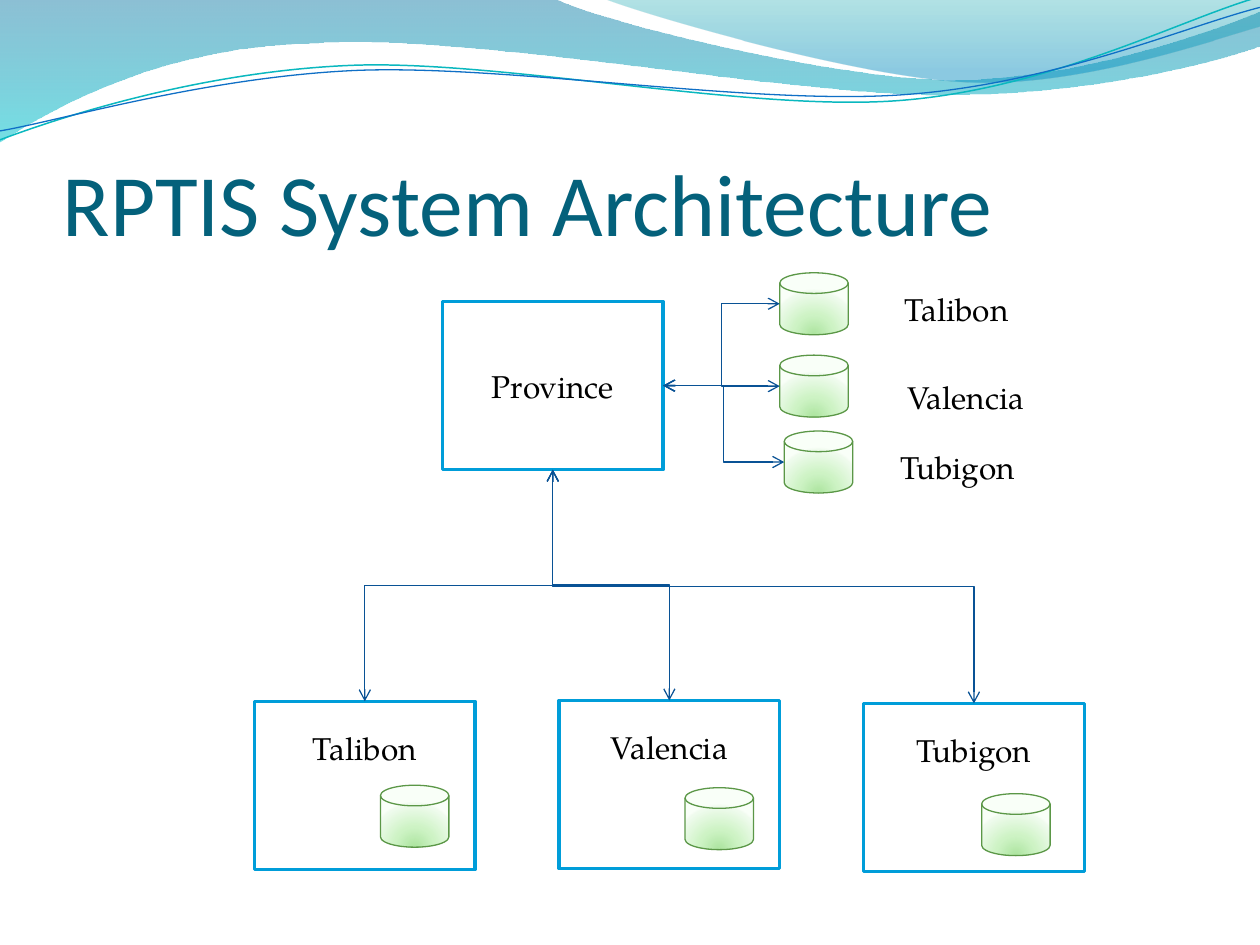
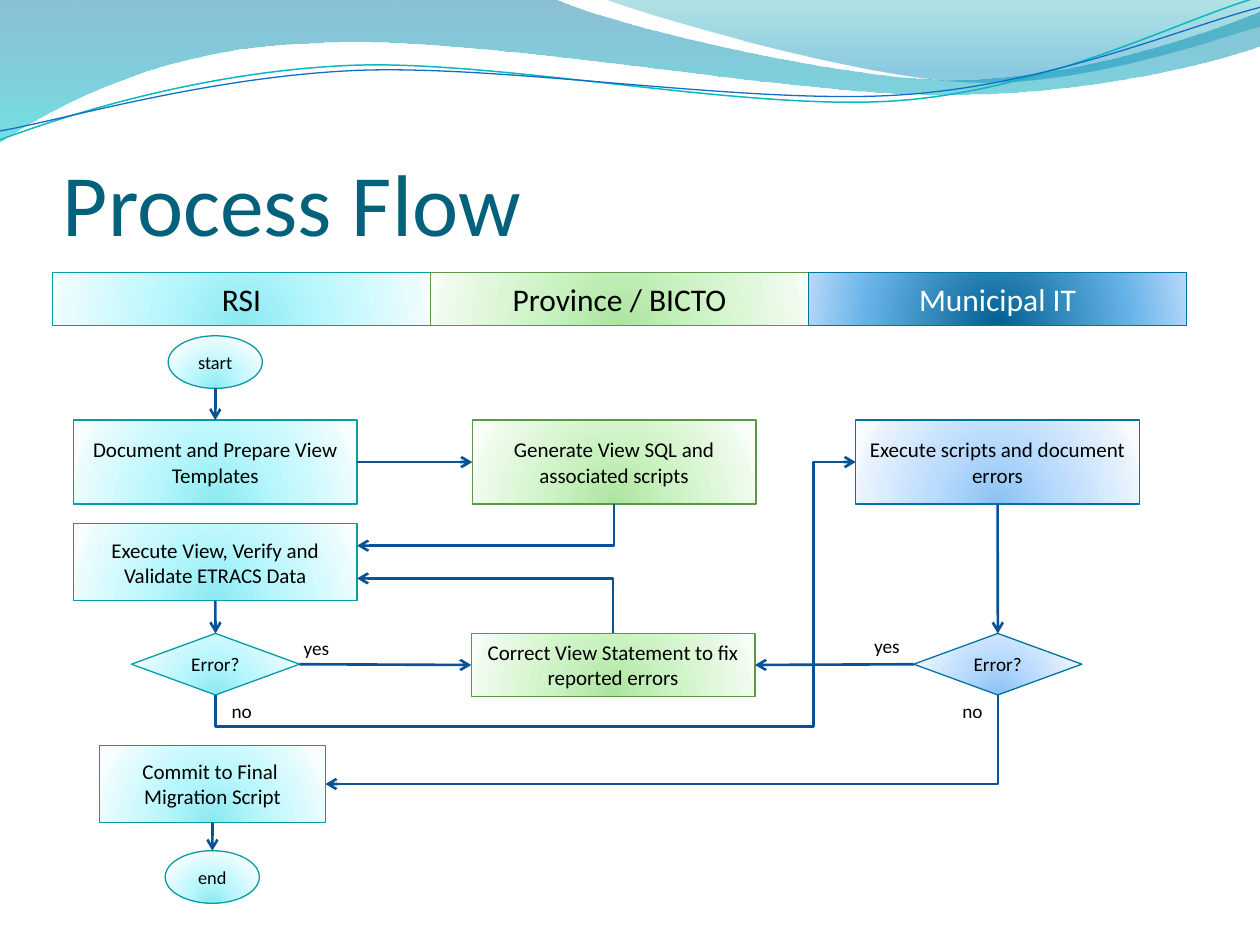
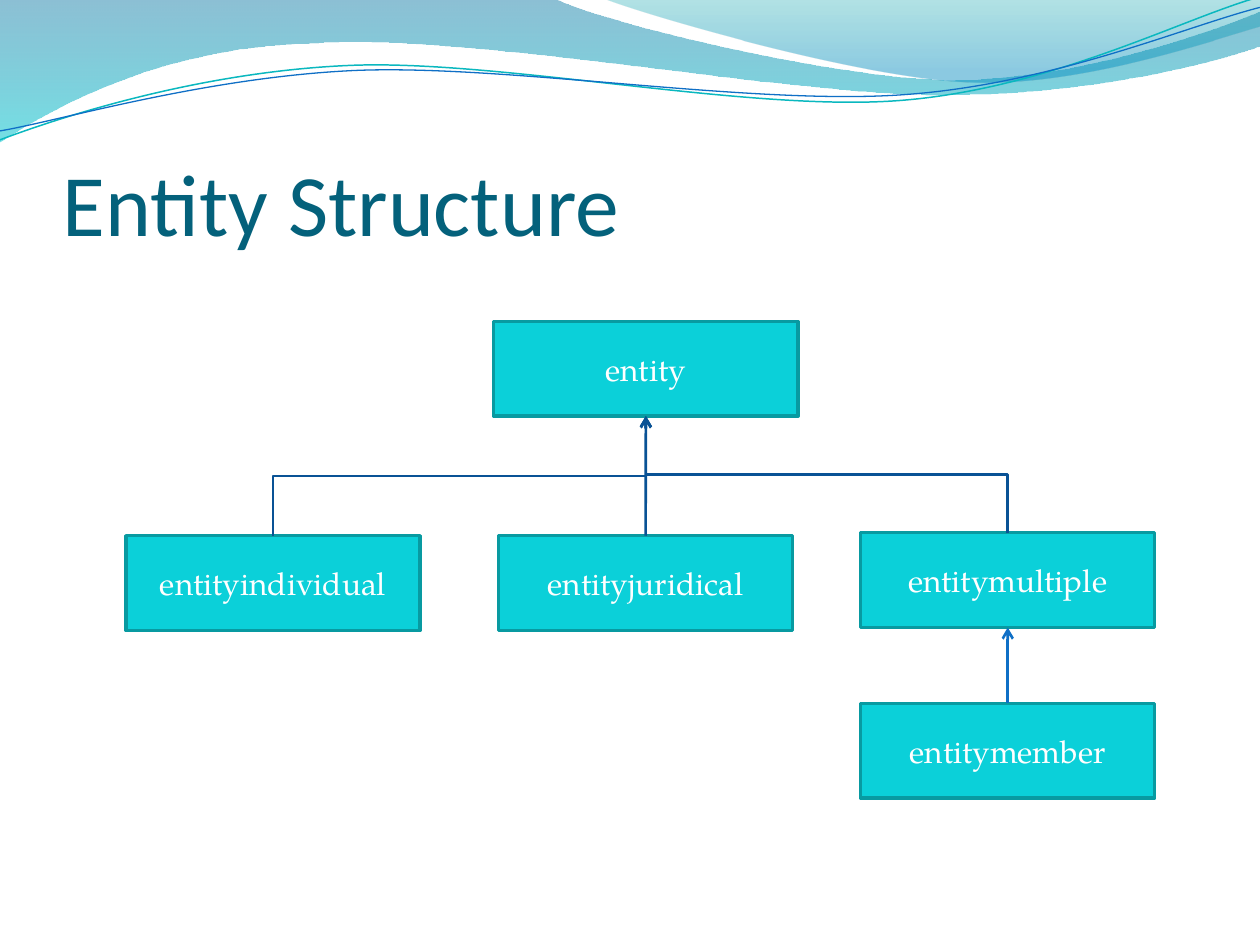
"""Three slides on a tax information system: architecture, process, entities."""
from dataclasses import dataclass
from enum import IntEnum
from typing import Optional

import pptx
import pptx.util
from lxml import etree
from pptx.dml.color import RGBColor
from pptx.enum.shapes import MSO_CONNECTOR, MSO_SHAPE
from pptx.enum.text import MSO_ANCHOR, PP_ALIGN
from pptx.oxml.ns import qn
from pptx.util import Cm, Pt

# Colours and fonts
BLACK = RGBColor(0x00, 0x00, 0x00)
WHITE = RGBColor(0xFF, 0xFF, 0xFF)
TITLE_BLUE = RGBColor(0x04, 0x61, 0x7B)
SITE_BLUE = RGBColor(0x00, 0x9D, 0xD9)
LINK_BLUE = RGBColor(0x09, 0x52, 0x95)
MEMBER_BLUE = RGBColor(0x0F, 0x6F, 0xC6)
ENTITY_FILL = RGBColor(0x0B, 0xD0, 0xD9)
ENTITY_EDGE = RGBColor(0x08, 0x9A, 0xA1)
WAVE_TEAL = RGBColor(0x0A, 0xB8, 0xBF)
SANS = "Calibri"
SERIF = "TeX Gyre Pagella"


@dataclass(frozen=True)
class Stop:
    position: int
    color: RGBColor
    alpha: int = 100


@dataclass(frozen=True)
class Tone:
    """Glowing fill of a shape with its outline and text colour."""
    edge: RGBColor
    stops: tuple[Stop, ...]
    ink: RGBColor = BLACK


def soft_stops(*colors: str) -> tuple[Stop, ...]:
    return tuple(Stop(at, RGBColor.from_string(color))
                 for at, color in zip((0, 43, 93, 100), colors))


CYAN = Tone(RGBColor(0x06, 0x9C, 0xA3), soft_stops("8BE9F1", "B9F7FD", "EAFCFE", "F8FEFF"))
GREEN = Tone(RGBColor(0x5B, 0x97, 0x47), soft_stops("ACE49F", "CDF3C4", "EFFBED", "F9FFF8"))
BLUE = Tone(RGBColor(0x00, 0x74, 0xA1), soft_stops("8BC2F1", "B9DBFD", "EAF3FE", "F8FBFF"))
DEEP_BLUE = Tone(BLUE.edge, (Stop(0, RGBColor(0x00, 0x60, 0x91)),
                             Stop(68, RGBColor(0x64, 0xB1, 0xE7)),
                             Stop(100, RGBColor(0xB1, 0xD6, 0xF9))), WHITE)

Point = tuple[float, float]


@dataclass(frozen=True)
class Box:
    """Place and size in centimetres."""
    left: float
    top: float
    width: float
    height: float

    def lengths(self) -> tuple[Cm, Cm, Cm, Cm]:
        return Cm(self.left), Cm(self.top), Cm(self.width), Cm(self.height)


@dataclass(frozen=True)
class Style:
    font: str
    size: float
    color: RGBColor = BLACK


@dataclass(frozen=True)
class Wave:
    """Outline in cm; a step is one point (line) or three (Bezier curve)."""
    start: Point
    steps: tuple[tuple[Point, ...], ...]
    stops: tuple[Stop, ...] = ()
    color: Optional[RGBColor] = None
    weight: float = 0


WAVES = (
    Wave((0, 0), (
        ((11.18, -0.03),),
        ((12.09, 0.43), (16.87, 1.6), (19.25, 1.6)),
        ((21.67, 1.6), (24.33, 0.66), (25.4, 0.23)),
        ((25.43, 0.91),),
        ((24.97, 1.12), (22.1, 1.93), (18.95, 1.91)),
        ((15.8, 1.91), (9.7, 0.71), (6.53, 0.86)),
        ((3.28, 0.91), (1.17, 2.11), (-0.03, 2.87)),
        ((0, 0),)),
        stops=(Stop(0, RGBColor(0x00, 0x74, 0xA1), 45), Stop(100, RGBColor(0x00, 0xC6, 0xCF), 55))),
    Wave((12.17, -0.03), (
        ((12.93, 0.28), (17.32, 1.57), (19.53, 1.65)),
        ((21.74, 1.75), (24.41, 0.81), (25.4, 0.53)),
        ((25.4, 0),),
        ((12.17, -0.03),)),
        stops=(Stop(0, RGBColor(0x00, 0xA1, 0xA9), 30), Stop(80, RGBColor(0x00, 0x8B, 0xBF), 45))),
    Wave((0, 2.82), (
        ((1.22, 2.36), (4.01, 1.45), (7.04, 1.32)),
        ((10.03, 1.19), (15.06, 2.26), (18.11, 2.03)),
        ((21.16, 1.8), (23.83, 0.38), (25.35, -0.05))),
        color=WAVE_TEAL, weight=0.85),
    Wave((0, 2.64), (
        ((1.19, 2.44), (4.17, 1.55), (7.19, 1.42)),
        ((10.24, 1.3), (15.16, 2.13), (18.21, 1.91)),
        ((21.23, 1.7), (23.9, 0.53), (25.4, 0.15))),
        color=MEMBER_BLUE, weight=0.75),
)


# Fills, text and shapes
def fill_gradient(shape, stops: tuple[Stop, ...], radial: bool) -> None:
    shape.fill.background()
    properties = shape.element.spPr
    gradient = etree.Element(qn("a:gradFill"), rotWithShape="1")
    stop_list = etree.SubElement(gradient, qn("a:gsLst"))
    for stop in stops:
        entry = etree.SubElement(stop_list, qn("a:gs"), pos=str(stop.position * 1000))
        color = etree.SubElement(entry, qn("a:srgbClr"), val=str(stop.color))
        if stop.alpha < 100:
            etree.SubElement(color, qn("a:alpha"), val=str(stop.alpha * 1000))
    if radial:
        center = etree.SubElement(gradient, qn("a:path"), {"path": "circle"})
        etree.SubElement(center, qn("a:fillToRect"), l="50000", t="130000", r="50000", b="-30000")
    else:
        etree.SubElement(gradient, qn("a:lin"), ang="5400000", scaled="0")
    properties.replace(properties.find(qn("a:noFill")), gradient)


def write(shape, lines: tuple[str, ...], style: Style, align=PP_ALIGN.CENTER,
          anchor=MSO_ANCHOR.MIDDLE, wrap: bool = True) -> None:
    frame = shape.text_frame
    frame.word_wrap = wrap
    frame.vertical_anchor = anchor
    for number, line in enumerate(lines):
        para = frame.add_paragraph() if number else frame.paragraphs[0]
        para.alignment = align
        span = para.add_run()
        span.text = line
        span.font.name = style.font
        span.font.size = Pt(style.size)
        span.font.color.rgb = style.color


def add_label(page, text: str, box: Box, style: Style, wrap: bool = True):
    label = page.shapes.add_textbox(*box.lengths())
    write(label, (text,), style, PP_ALIGN.LEFT, MSO_ANCHOR.TOP, wrap)
    return label


def add_plain_box(page, text: str, box: Box, fill: RGBColor, edge: RGBColor, ink: RGBColor):
    shape = page.shapes.add_shape(MSO_SHAPE.RECTANGLE, *box.lengths())
    shape.shadow.inherit = False
    shape.fill.solid()
    shape.fill.fore_color.rgb = fill
    shape.line.color.rgb = edge
    shape.line.width = Pt(2)
    write(shape, (text,), Style(SERIF, 18, ink))
    return shape


def add_glow_shape(page, kind, box: Box, tone: Tone, lines: tuple[str, ...] = (), size: float = 12):
    shape = page.shapes.add_shape(kind, *box.lengths())
    shape.shadow.inherit = False
    fill_gradient(shape, tone.stops, radial=True)
    shape.line.color.rgb = tone.edge
    shape.line.width = Pt(0.75)
    write(shape, lines, Style(SANS, size, tone.ink))
    return shape


# Connectors
class Side(IntEnum):
    TOP = 0
    LEFT = 1
    BOTTOM = 2
    RIGHT = 3


SITES = {MSO_SHAPE.OVAL: (0, 2, 4, 6), MSO_SHAPE.FLOWCHART_MAGNETIC_DISK: (1, 2, 3, 4)}


@dataclass(frozen=True)
class Anchor:
    x: int
    y: int
    shape_id: Optional[int] = None
    site: int = 0


def at_side(shape, side: Side) -> Anchor:
    x = shape.left + shape.width * {Side.LEFT: 0, Side.RIGHT: 1}.get(side, 0.5)
    y = shape.top + shape.height * {Side.TOP: 0, Side.BOTTOM: 1}.get(side, 0.5)
    site = SITES.get(shape.auto_shape_type, (0, 1, 2, 3))[side]
    return Anchor(int(x), int(y), shape.shape_id, site)


def link(page, start: Anchor, end: Anchor, bends: int = 0, upright: bool = False,
         adjust: tuple[float, ...] = (), weight: float = 1.5,
         color: RGBColor = LINK_BLUE, both: bool = False) -> None:
    """Join two anchors; an upright link leaves its start vertically."""
    begin_x, begin_y, end_x, end_y = start.x, start.y, end.x, end.y
    if upright:  # laid out sideways, then turned a quarter
        center_x, center_y = (start.x + end.x) // 2, (start.y + end.y) // 2
        half_x, half_y = (end.y - start.y) // 2, (start.x - end.x) // 2
        begin_x, end_x = center_x - half_x, center_x + half_x
        begin_y, end_y = center_y - half_y, center_y + half_y
    kind = MSO_CONNECTOR.ELBOW if bends else MSO_CONNECTOR.STRAIGHT
    connector = page.shapes.add_connector(kind, begin_x, begin_y, end_x, end_y)
    connector.line.color.rgb = color
    connector.line.width = Pt(weight)
    properties = connector.element.spPr
    if upright:
        properties.find(qn("a:xfrm")).set("rot", "5400000")
    if bends:
        geometry = properties.find(qn("a:prstGeom"))
        geometry.set("prst", f"bentConnector{bends + 1}")
        for number, value in enumerate(adjust, 1):
            etree.SubElement(geometry.find(qn("a:avLst")), qn("a:gd"),
                             name=f"adj{number}", fmla=f"val {round(value * 100000)}")
    outline = properties.find(qn("a:ln"))
    for tag in ("a:headEnd", "a:tailEnd") if both else ("a:tailEnd",):
        etree.SubElement(outline, qn(tag), type="arrow")
    etree.SubElement(properties, qn("a:effectLst"))
    glue = connector.element.nvCxnSpPr.cNvCxnSpPr
    for tag, anchor in (("a:stCxn", start), ("a:endCxn", end)):
        if anchor.shape_id is not None:
            etree.SubElement(glue, qn(tag), id=str(anchor.shape_id), idx=str(anchor.site))


# Shared page: wave band and title
def bend_curves(shape, steps: tuple[tuple[Point, ...], ...]) -> None:
    """Merge each run of three line segments that forms one Bezier curve."""
    segments = iter(shape.element.spPr.findall(".//" + qn("a:lnTo")))
    for step in steps:
        curve = next(segments)
        if len(step) == 3:
            curve.tag = qn("a:cubicBezTo")
            for _ in range(2):
                segment = next(segments)
                curve.append(segment[0])
                segment.getparent().remove(segment)


def add_wave(page, wave: Wave) -> None:
    places = [(Cm(x), Cm(y)) for step in wave.steps for x, y in step]
    builder = page.shapes.build_freeform(Cm(wave.start[0]), Cm(wave.start[1]))
    builder.add_line_segments(places, close=bool(wave.stops))
    shape = builder.convert_to_shape()
    bend_curves(shape, wave.steps)
    shape.shadow.inherit = False
    if wave.stops:
        fill_gradient(shape, wave.stops, radial=False)
        shape.line.fill.background()
    else:
        shape.fill.background()
        shape.line.color.rgb = wave.color
        shape.line.width = Pt(wave.weight)


def add_page(deck, title: str):
    page = deck.slides.add_slide(deck.slide_layouts[6])
    for wave in WAVES:
        add_wave(page, wave)
    box = page.shapes.add_textbox(*Box(1.27, 1.95, 22.86, 3.18).lengths())
    frame = box.text_frame
    frame.margin_left = frame.margin_right = frame.margin_bottom = 0
    write(box, (title,), Style(SANS, 50, TITLE_BLUE), PP_ALIGN.LEFT, MSO_ANCHOR.BOTTOM)
    return page


# Slide 1: architecture
@dataclass(frozen=True)
class Town:
    name: str
    office: Point
    local_disk: Point
    central_disk: Point
    label: Point


TOWNS = (
    Town("Talibon", (5.13, 14.14), (7.67, 15.83), (15.72, 5.5), (17.99, 5.72)),
    Town("Valencia", (11.27, 14.12), (13.81, 15.88), (15.72, 7.16), (18.04, 7.49)),
    Town("Tubigon", (17.41, 14.18), (19.79, 16), (15.81, 8.69), (17.9, 8.9)),
)


def add_disk(page, place: Point):
    return add_glow_shape(page, MSO_SHAPE.FLOWCHART_MAGNETIC_DISK, Box(*place, 1.38, 1.25), GREEN)


def build_architecture(deck) -> None:
    page = add_page(deck, "RPTIS System Architecture")

    def add_office(name: str, place: Point):
        return add_plain_box(page, name, Box(*place, 4.45, 3.39), WHITE, SITE_BLUE, BLACK)

    offices = [add_office(town.name, town.office) for town in TOWNS]
    for office in offices:
        office.text_frame.margin_bottom = Cm(1.64)
    for town in TOWNS:
        add_disk(page, town.local_disk)
    province = add_office("Province", (8.92, 6.08))
    disks = [add_disk(page, town.central_disk) for town in TOWNS]
    for disk in disks:
        link(page, at_side(province, Side.RIGHT), at_side(disk, Side.LEFT),
             bends=2, weight=0.75, both=True)
    for town in TOWNS:
        add_label(page, town.name, Box(*town.label, 5.72, 1.04), Style(SERIF, 18))
    for office in offices:
        link(page, at_side(office, Side.TOP), at_side(province, Side.BOTTOM),
             bends=2, upright=True, weight=0.75, both=True)


# Slide 2: process
def build_process(deck) -> None:
    page = add_page(deck, "Process Flow")
    lanes = (("RSI", CYAN), ("Province / BICTO", GREEN), ("Municipal IT", DEEP_BLUE))
    for number, (name, tone) in enumerate(lanes):
        add_glow_shape(page, MSO_SHAPE.RECTANGLE, Box(1.06 + 7.62 * number, 5.5, 7.62, 1.06),
                       tone, (name,), 18)

    def add_step(left: float, top: float, height: float, tone: Tone, *lines: str, width: float = 5.72):
        return add_glow_shape(page, MSO_SHAPE.RECTANGLE, Box(left, top, width, height), tone, lines)

    def add_check(left: float, tone: Tone):
        return add_glow_shape(page, MSO_SHAPE.FLOWCHART_DECISION, Box(left, 12.77, 3.39, 1.24),
                              tone, ("Error?",), 11)

    def add_end(left: float, top: float, text: str):
        return add_glow_shape(page, MSO_SHAPE.OVAL, Box(left, top, 1.9, 1.06), CYAN, (text,), 10.5)

    start = add_end(3.39, 6.77, "start")
    prepare = add_step(1.48, 8.47, 1.69, CYAN, "Document and Prepare View Templates")
    generate = add_step(9.52, 8.47, 1.69, GREEN, "Generate View SQL and associated scripts")
    execute = add_step(17.25, 8.47, 1.69, BLUE, "Execute scripts and document errors")
    verify = add_step(1.48, 10.56, 1.55, CYAN, "Execute View, Verify and Validate ETRACS Data")
    view_check = add_check(2.65, CYAN)
    correct = add_step(9.5, 12.77, 1.27, GREEN, "Correct View Statement to fix reported errors")
    script_check = add_check(18.42, BLUE)
    commit = add_step(2.01, 15.03, 1.55, CYAN, "Commit to Final ", "Migration Script", width=4.55)
    end = add_end(3.33, 17.15, "end")

    # Straight links
    for source, source_side, target, target_side in (
            (start, Side.BOTTOM, prepare, Side.TOP),
            (prepare, Side.RIGHT, generate, Side.LEFT),
            (verify, Side.BOTTOM, view_check, Side.TOP),
            (view_check, Side.RIGHT, correct, Side.LEFT),
            (execute, Side.BOTTOM, script_check, Side.TOP),
            (script_check, Side.LEFT, correct, Side.RIGHT),
            (commit, Side.BOTTOM, end, Side.TOP)):
        link(page, at_side(source, source_side), at_side(target, target_side))

    # Bent links
    verify_edge = verify.left + verify.width
    link(page, at_side(generate, Side.BOTTOM), Anchor(verify_edge, Cm(11)), bends=1, upright=True)
    link(page, at_side(correct, Side.TOP), Anchor(verify_edge, Cm(11.66)), bends=1, upright=True)
    link(page, at_side(script_check, Side.BOTTOM), at_side(commit, Side.RIGHT), bends=1, upright=True)
    link(page, at_side(view_check, Side.BOTTOM), at_side(execute, Side.LEFT), bends=3,
         upright=True, adjust=(-0.135, 0.934))

    for text, left, top in (("yes", 5.87, 12.7), ("no", 4.42, 13.97),
                            ("yes", 17.37, 12.67), ("no", 19.15, 13.97)):
        add_label(page, text, Box(left, top, 1.02, 0.73), Style(SANS, 11), wrap=False)


# Slide 3: entities
def build_entities(deck) -> None:
    page = add_page(deck, "Entity Structure")

    def add_entity(name: str, left: float, top: float, width: float = 5.93):
        return add_plain_box(page, name, Box(left, top, width, 1.91), ENTITY_FILL, ENTITY_EDGE, WHITE)

    entity = add_entity("entity", 9.95, 6.48, 6.14)
    individual = add_entity("entityindividual", 2.54, 10.8)
    juridical = add_entity("entityjuridical", 10.05, 10.8)
    multiple = add_entity("entitymultiple", 17.35, 10.74)
    member = add_entity("entitymember", 17.35, 14.18)
    root = at_side(entity, Side.BOTTOM)
    link(page, at_side(juridical, Side.TOP), root)
    for child in (individual, multiple):
        link(page, at_side(child, Side.TOP), root, bends=2, upright=True)
    link(page, at_side(member, Side.TOP), at_side(multiple, Side.BOTTOM), color=MEMBER_BLUE)


deck = pptx.Presentation()
deck.slide_width = Cm(25.4)
deck.slide_height = Cm(19.05)
build_architecture(deck)
build_process(deck)
build_entities(deck)
deck.save("out.pptx")
